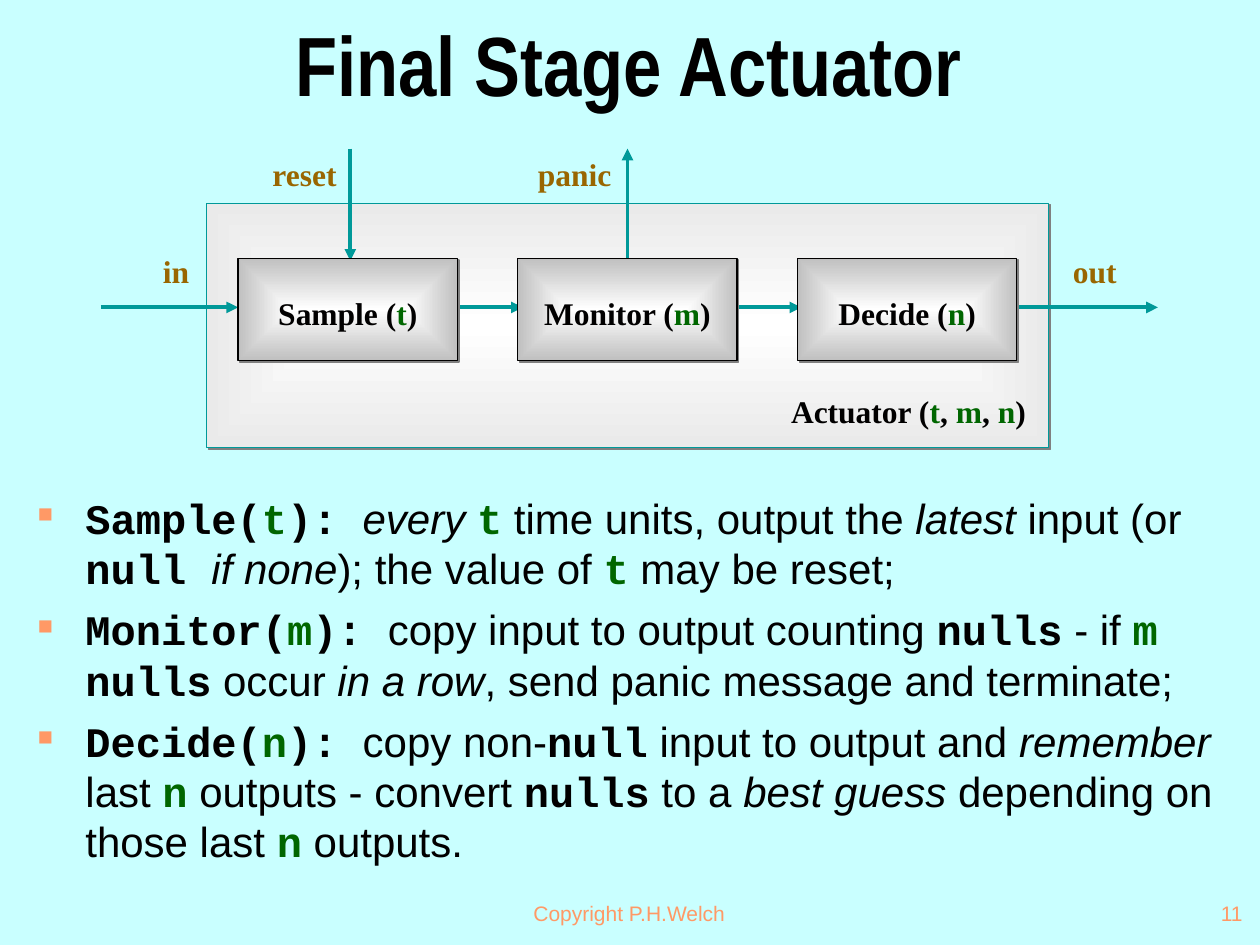
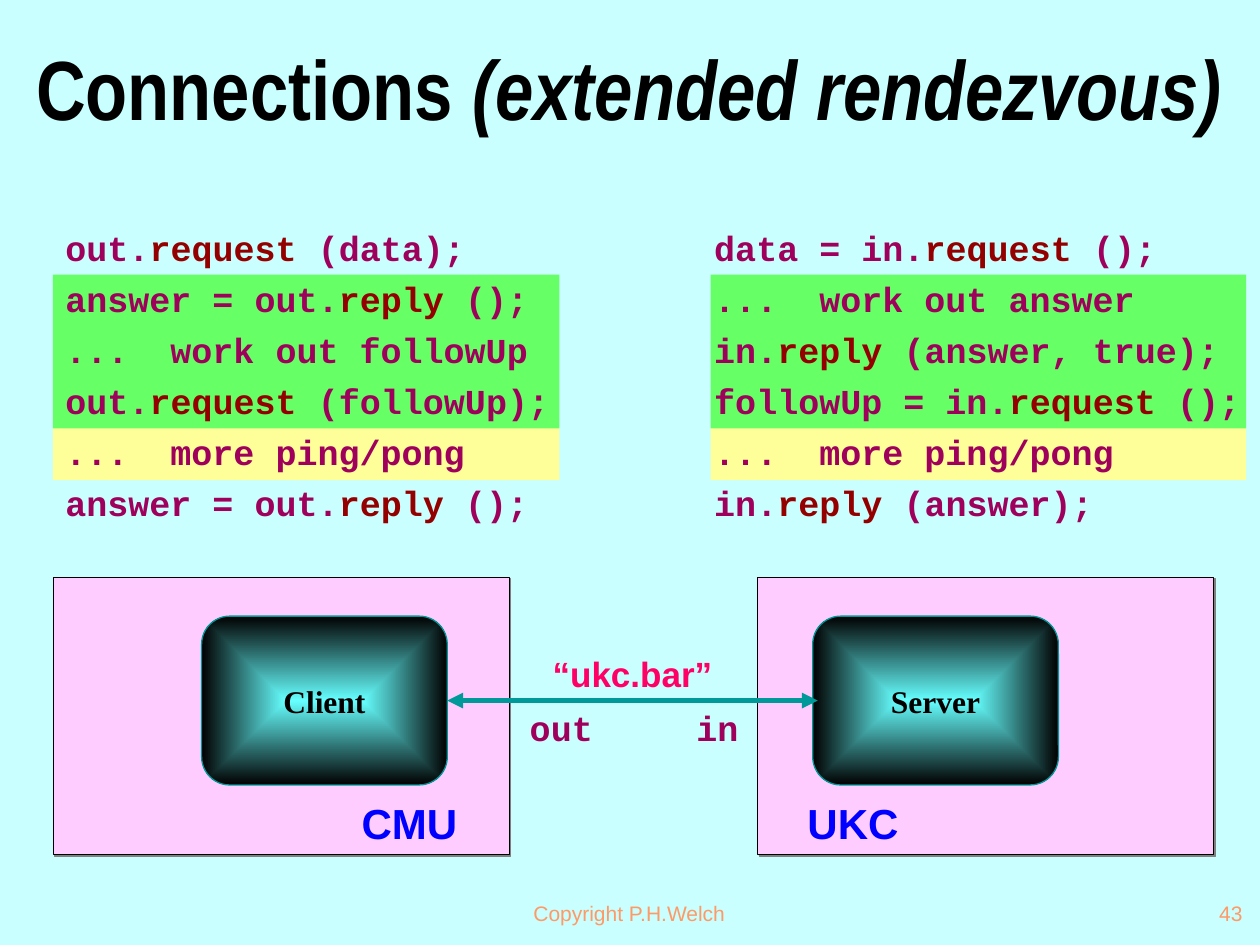
from collections import namedtuple
from dataclasses import dataclass

from pptx import Presentation
from pptx.dml.color import RGBColor
from pptx.enum import shapes, text
from pptx.oxml import parse_xml
from pptx.oxml.ns import nsdecls, qn
from pptx.util import Inches, Pt

Box = namedtuple("Box", "left top width height")
Style = namedtuple("Style", "font size color bold italic", defaults=(True, False))


@dataclass(frozen=True)
class Theme:
    background = "C9FFFF"
    ink = "010000"
    param = "006600"
    accent = "FF9966"
    channel = "009999"
    shade = "808080"
    code = "9E005C"
    frame_fill = ("FFFFFF", "EAEAEA")
    process_fill = ("FFFFFF", "C0C0C0")
    role_fill = ("66FFFF", "010000")
    host_fill = "FFCCFF"
    extended = "66FF66"
    repeated = "FFFF99"


T = Theme()
TITLE = Style("Arial Narrow", 48, T.ink)
TITLE_ITALIC = TITLE._replace(italic=True)
PROSE = Style("Arial", 24, T.ink, False)
EMPHASIS = PROSE._replace(italic=True)
MONO = Style("Courier New", 24, T.ink)
MONO_PARAM = MONO._replace(color=T.param)
LABEL = Style("Times New Roman", 18, T.ink)
LABEL_PARAM = LABEL._replace(color=T.param)
CHANNEL_LABEL = LABEL._replace(color="996600")
CODE = Style("Courier New", 20, T.code)
METHOD = CODE._replace(color="940000")
SITE = Style("Arial", 24, "0000FF")
ADDRESS = Style("Arial", 20, "FF0066")
FOOTER = Style("Arial", 12, T.accent, False)

ALIGN, ANCHOR = text.PP_ALIGN, text.MSO_ANCHOR
RECT, ROUNDED = shapes.MSO_SHAPE.RECTANGLE, shapes.MSO_SHAPE.ROUNDED_RECTANGLE


# ---- Shared drawing helpers ----
def rgb(color):
    return RGBColor.from_string(color)


def inches(values):
    return [Inches(value) for value in values]


def shadow_xml(distance):
    return (f'<a:outerShdw dist="{Pt(distance)}" dir="2700000" algn="tl" rotWithShape="0">'
            f'<a:srgbClr val="{T.shade}"/></a:outerShdw>')


def write(paragraph, runs, align=None):
    paragraph.alignment = align
    for words, style in runs:
        run = paragraph.add_run()
        run.text = words
        font = run.font
        font.name, font.size = style.font, Pt(style.size)
        font.bold, font.italic = style.bold, style.italic
        font.color.rgb = rgb(style.color)


def add_text(slide, box, runs=(), align=None, anchor=ANCHOR.TOP, wrap=True):
    frame = slide.shapes.add_textbox(*inches(box)).text_frame
    frame.word_wrap, frame.vertical_anchor = wrap, anchor
    write(frame.paragraphs[0], runs, align)
    return frame


def add_block(slide, box, fill, line=None, width=0.25, kind=RECT, shadow=False):
    """Add a shape with a plain fill, or a (centre, edge) pair of colours."""
    block = slide.shapes.add_shape(kind, *inches(box))
    block.shadow.inherit = False
    properties = block.fill._xPr
    if isinstance(fill, str):
        block.fill.solid()
        block.fill.fore_color.rgb = rgb(fill)
    else:
        block.fill.gradient()
        for stop, color in zip(block.fill.gradient_stops, fill):
            stop.color.rgb = rgb(color)
        gradient = properties.find(qn("a:gradFill"))
        gradient.remove(gradient.find(qn("a:lin")))
        gradient.append(parse_xml(
            f'<a:path {nsdecls("a")} path="rect">'
            '<a:fillToRect l="50000" t="50000" r="50000" b="50000"/></a:path>'))
    if line:
        block.line.color.rgb = rgb(line)
        block.line.width = Pt(width)
    else:
        block.line.fill.background()
    if shadow:
        effects = parse_xml(f'<a:effectLst {nsdecls("a")}>{shadow_xml(1.4)}</a:effectLst>')
        properties.replace(properties.find(qn("a:effectLst")), effects)
    return block


def add_arrow(slide, start, end, width=2.25, ends=("tailEnd",)):
    arrow = slide.shapes.add_connector(
        shapes.MSO_CONNECTOR.STRAIGHT, *inches(start), *inches(end))
    arrow.line.color.rgb = rgb(T.channel)
    arrow.line.width = Pt(width)
    line = arrow.line._get_or_add_ln()
    for tag in ends:
        line.append(parse_xml(f'<a:{tag} {nsdecls("a")} type="triangle"/>'))
    line.addnext(parse_xml(f'<a:effectLst {nsdecls("a")}/>'))


def write_inside(block, runs, drop=0):
    frame = block.text_frame
    frame.margin_top = Inches(0.05 + drop)
    frame.vertical_anchor = ANCHOR.MIDDLE
    write(frame.paragraphs[0], runs, ALIGN.CENTER)


def call_label(name, params):
    """Runs for a label such as Name (a, b) with coloured parameters."""
    runs = [(f"{name} (", LABEL)]
    for index, param in enumerate(params):
        if index:
            runs.append((", ", LABEL))
        runs.append((param, LABEL_PARAM))
    return runs + [(")", LABEL)]


# ---- Title and footer of every slide ----
def new_slide(deck, number, title_box, title_runs):
    slide = deck.slides.add_slide(deck.slide_layouts[6])
    title = add_text(slide, title_box, title_runs, ALIGN.CENTER, ANCHOR.MIDDLE).paragraphs[0]
    title.line_spacing = 0.7
    for run in title.runs:
        fill = run.font._element.find(qn("a:solidFill"))
        fill.addnext(parse_xml(
            f'<a:effectLst {nsdecls("a")}>{shadow_xml(3)}</a:effectLst>'))
    add_text(slide, Box(3.41, 7, 3.17, 0.5), [("Copyright P.H.Welch", FOOTER)],
             ALIGN.CENTER, ANCHOR.MIDDLE)
    add_text(slide, Box(7.88, 7, 2.08, 0.5), [(str(number), FOOTER)],
             ALIGN.RIGHT, ANCHOR.MIDDLE)
    return slide


# ---- Actuator slide ----
def actuator_diagram(slide, box):
    left, top = box.left, box.top
    add_block(slide, box, T.frame_fill, T.channel, shadow=True)
    process_left, process_top, pitch = left + 0.25, top + 0.44, 2.22

    # Channels between and around the processes
    flow_y = top + 0.83
    sample_x, monitor_x = left + 1.14, left + 3.34
    for start_x, end_x in ((-0.84, 0.25), (1.97, 2.51), (4.18, 4.72), (6.27, 7.55)):
        add_arrow(slide, (left + start_x, flow_y), (left + end_x, flow_y))
    add_arrow(slide, (sample_x, top - 0.43), (sample_x, top + 0.46))
    add_arrow(slide, (monitor_x, top + 0.6), (monitor_x, top - 0.43))

    # Channel names and the name of the whole network
    for name, dx, dy, width in (("in", -0.45, 0.34, 0.41), ("out", 6.77, 0.34, 0.55),
                                ("reset", 0.41, -0.43, 0.72), ("panic", 2.52, -0.43, 0.79)):
        add_text(slide, Box(left + dx, top + dy, width, 0.4),
                 [(name, CHANNEL_LABEL)], ALIGN.RIGHT, wrap=False)
    add_text(slide, Box(left + 4.53, top + 1.45, 2.07, 0.4),
             call_label("Actuator", "tmn"), ALIGN.RIGHT, wrap=False)

    # Processes
    for index, (name, param) in enumerate((("Sample", "t"), ("Monitor", "m"), ("Decide", "n"))):
        process = add_block(slide, Box(process_left + index * pitch, process_top, 1.74, 0.81),
                            T.process_fill, T.ink, 0.75, shadow=True)
        write_inside(process, call_label(name, param), drop=0.06)


def process_notes(slide, box, notes):
    frame = add_text(slide, box)
    for index, (name, param, runs) in enumerate(notes):
        paragraph = frame.add_paragraph() if index else frame.paragraphs[0]
        properties = paragraph._p.get_or_add_pPr()
        properties.set("marL", str(Inches(0.38)))
        properties.set("indent", str(Inches(-0.38)))
        for bullet in (f'buClr {nsdecls("a")}><a:srgbClr val="{T.accent}"/></a:buClr>',
                       f'buSzPct {nsdecls("a")} val="50000"/>',
                       f'buChar {nsdecls("a")} char="■"/>'):
            properties.append(parse_xml("<a:" + bullet))
        paragraph.space_before = Pt(6 if index else 0)
        heading = [(f"{name}(", MONO), (param, MONO_PARAM), ("): ", MONO)]
        write(paragraph, heading + runs)


def actuator_slide(deck):
    slide = new_slide(deck, 11, Box(0.25, 0.16, 9.48, 0.87), [("Final Stage Actuator", TITLE)])
    process_notes(slide, Box(0.2, 3.86, 9.57, 3.19), (
        ("Sample", "t", [
            ("every ", EMPHASIS), ("t", MONO_PARAM), (" time units, output the ", PROSE),
            ("latest", EMPHASIS), (" input (or ", PROSE), ("null ", MONO),
            ("if none", EMPHASIS), ("); the value of ", PROSE), ("t", MONO_PARAM),
            (" may be reset;", PROSE)]),
        ("Monitor", "m", [
            ("copy input to output counting ", PROSE), ("nulls", MONO), (" - if ", PROSE),
            ("m ", MONO_PARAM), ("nulls", MONO), (" occur ", PROSE), ("in a row", EMPHASIS),
            (", send panic message and terminate;", PROSE)]),
        ("Decide", "n", [
            ("copy non-", PROSE), ("null", MONO), (" input to output and ", PROSE),
            ("remember", EMPHASIS), (" last ", PROSE), ("n", MONO_PARAM),
            (" outputs - convert ", PROSE), ("nulls", MONO), (" to a ", PROSE),
            ("best guess", EMPHASIS), (" depending on those last ", PROSE),
            ("n", MONO_PARAM), (" outputs.", PROSE)]),
    ))
    actuator_diagram(slide, Box(1.64, 1.61, 6.68, 1.94))


# ---- Connections slide ----
def code_runs(line):
    """Colour the method call in a line of code."""
    for method in ("request", "reply"):
        before, found, after = line.partition(method)
        if found:
            return [(before, CODE), (found, METHOD), (after, CODE)]
    return [(line, CODE)]


def protocol_code(slide, box, text_dx, lines):
    # Bands behind the extended and the repeated steps
    add_block(slide, Box(box.left, box.top + 1.64, box.width, 0.42), T.repeated)
    add_block(slide, Box(box.left, box.top + 0.43, box.width, 1.22), T.extended)
    frame = add_text(slide, Box(box.left + text_dx, box.top, box.width + 0.4, box.height))
    for index, line in enumerate(lines):
        paragraph = frame.add_paragraph() if index else frame.paragraphs[0]
        paragraph.line_spacing = Pt(24.1)
        paragraph.space_before = Pt(5 if index else 0)
        write(paragraph, code_runs(line))


def host(slide, box, site, site_dx, role, role_dx):
    add_block(slide, box, T.host_fill, "000000", shadow=True)
    add_text(slide, Box(box.left + site_dx, box.top + 1.7, 1.06, 0.5),
             [(site, SITE)], ALIGN.CENTER)
    role_block = add_block(slide, Box(box.left + role_dx, box.top + 0.31, 1.95, 1.34),
                           T.role_fill, T.channel, 0.75, ROUNDED)
    write_inside(role_block, [(role, LABEL)])


def connection(slide, box):
    add_arrow(slide, (box.left, box.top + 0.43), (box.left + box.width, box.top + 0.43),
              3, ("headEnd", "tailEnd"))
    add_text(slide, Box(box.left - 0.12, box.top, 3.18, 0.43),
             [("“ukc.bar”", ADDRESS)], ALIGN.CENTER)
    for name, dx in (("out", 0.49), ("in", 1.73)):
        add_text(slide, Box(box.left + dx, box.top + 0.43, 0.83, 0.43),
                 [(name, CODE)], ALIGN.CENTER)


def connections_slide(deck):
    slide = new_slide(deck, 43, Box(0.1, 0.27, 9.79, 1.03),
                      [("Connections ", TITLE), ("(extended rendezvous)", TITLE_ITALIC)])
    protocol_code(slide, Box(0.42, 1.75, 4.02, 2.56), 0, (
        "out.request (data);", "answer = out.reply ();", "...  work out followUp",
        "out.request (followUp);", "...  more ping/pong", "answer = out.reply ();"))
    protocol_code(slide, Box(5.64, 1.75, 4.25, 2.56), -0.07, (
        "data = in.request ();", "...  work out answer", "in.reply (answer, true);",
        "followUp = in.request ();", "...  more ping/pong", "in.reply (answer);"))
    host(slide, Box(0.42, 4.58, 3.62, 2.2), "CMU", 2.3, "Client", 1.18)
    host(slide, Box(6.01, 4.58, 3.62, 2.2), "UKC", 0.23, "Server", 0.44)
    connection(slide, Box(3.55, 5.13, 2.94, 0.86))


def main():
    deck = Presentation()
    deck.slide_width, deck.slide_height = Inches(10), Inches(7.5)
    backdrop = deck.slide_master.background.fill
    backdrop.solid()
    backdrop.fore_color.rgb = rgb(T.background)
    actuator_slide(deck)
    connections_slide(deck)
    deck.save("out.pptx")


if __name__ == "__main__":
    main()
